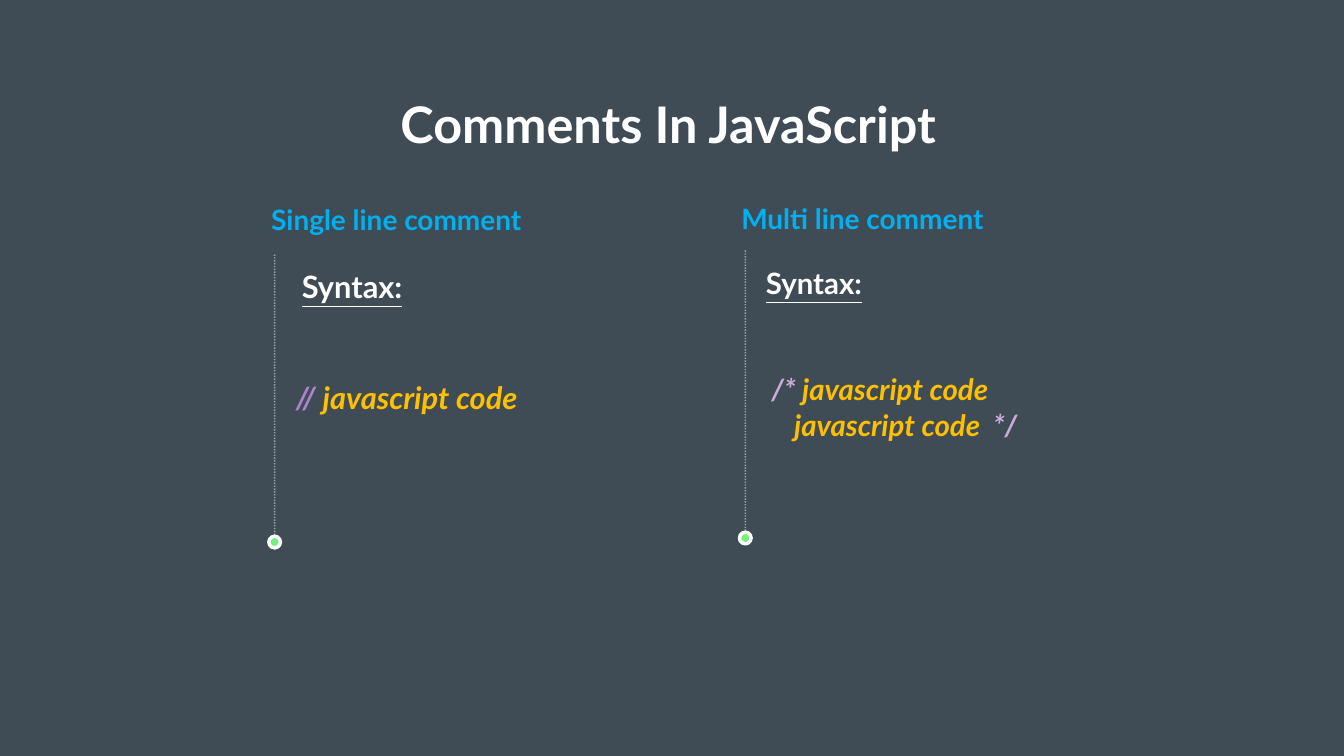
from dataclasses import dataclass

import lxml.etree
import pptx
import pptx.dml.color
import pptx.enum.dml
import pptx.enum.shapes
import pptx.enum.text
import pptx.oxml.ns
import pptx.util

Inches = pptx.util.Inches
Pt = pptx.util.Pt
Anchor = pptx.enum.text.MSO_ANCHOR
qn = pptx.oxml.ns.qn

FONT = "Lato"
COLORS = {
    "background": "404C55",
    "white": "FFFFFF",
    "heading": "00B0F0",
    "code": "FFC000",
    "slashes": "AF82CC",
    "stars": "CAACDD",
    "dot": "73F17A",
}
LINE_HEIGHT = 1.2
DOT_SIZE = 0.23


@dataclass(frozen=True)
class CodeLine:
    indent: float
    runs: tuple[tuple[str, str], ...]


@dataclass(frozen=True)
class CommentStyle:
    heading: str
    heading_box: tuple[float, float, float, float]
    rail_x: float
    rail_top: float
    rail_bottom: float
    syntax_box: tuple[float, float, float, float]
    syntax_size: int
    syntax_indent: float
    code: tuple[CodeLine, ...]


COMMENT_STYLES = (
    CommentStyle(
        "Single line comment", (5.3, 3.89, 5.61, 0.84),
        5.45, 5.04, 10.78,
        (5.87, 5.31, 5.8, 3.7), 44, 0.12,
        (CodeLine(0, (("// ", "slashes"), ("javascript code", "code"))),),
    ),
    CommentStyle(
        "Multi line comment", (14.63, 3.87, 5.24, 0.84),
        14.79, 4.97, 10.7,
        (15.2, 5.27, 6.7, 3.53), 42, 0,
        (
            CodeLine(0.11, (("/* ", "stars"), ("javascript code", "code"))),
            CodeLine(0.56, (("javascript code  ", "code"), ("*/", "stars"))),
        ),
    ),
)


def rgb(name: str) -> pptx.dml.color.RGBColor:
    return pptx.dml.color.RGBColor.from_string(COLORS[name])


def set_font(font, size: int, color: str) -> None:
    font.name = FONT
    font.size = Pt(size)
    font.bold = True
    font.color.rgb = rgb(color)


def add_text_frame(slide, box: tuple[float, float, float, float], inset: float = 0,
                   anchor=Anchor.TOP, wrap: bool = True):
    frame = slide.shapes.add_textbox(*map(Inches, box)).text_frame
    frame.margin_left = frame.margin_right = Inches(inset)
    frame.margin_top = frame.margin_bottom = Inches(inset)
    frame.vertical_anchor = anchor
    frame.word_wrap = wrap
    return frame


def set_indent(paragraph, inches: float) -> None:
    paragraph._p.get_or_add_pPr().set("marL", str(Inches(inches)))


def add_rail(slide, style: CommentStyle) -> None:
    x = Inches(style.rail_x)
    rail = slide.shapes.add_connector(
        pptx.enum.shapes.MSO_CONNECTOR.STRAIGHT,
        x, Inches(style.rail_bottom), x, Inches(style.rail_top))
    rail.line.width = Pt(2)
    rail.line.color.rgb = rgb("white")
    rail.line.dash_style = pptx.enum.dml.MSO_LINE.ROUND_DOT
    rgb_element = rail.line._ln.find(".//" + qn("a:srgbClr"))
    lxml.etree.SubElement(rgb_element, qn("a:alpha")).set("val", "50000")
    lxml.etree.SubElement(rail._element.spPr, qn("a:effectLst"))

    dot = slide.shapes.add_shape(
        pptx.enum.shapes.MSO_SHAPE.OVAL,
        Inches(style.rail_x - DOT_SIZE / 2), Inches(style.rail_bottom - 0.14),
        Inches(DOT_SIZE), Inches(DOT_SIZE))
    dot.shadow.inherit = False
    dot.fill.solid()
    dot.fill.fore_color.rgb = rgb("dot")
    dot.line.color.rgb = rgb("white")
    dot.line.width = Pt(5)


def add_heading(slide, style: CommentStyle) -> None:
    frame = add_text_frame(slide, style.heading_box, 0.08, Anchor.MIDDLE, wrap=False)
    heading = frame.paragraphs[0]
    heading.text = style.heading
    heading.line_spacing = 1.1
    set_font(heading.font, 40, "heading")


def add_syntax(slide, style: CommentStyle) -> None:
    frame = add_text_frame(slide, style.syntax_box)
    label = frame.paragraphs[0]
    label.text = "Syntax:"
    set_indent(label, style.syntax_indent)
    set_font(label.font, style.syntax_size, "white")
    label.font.underline = True

    for index, code_line in enumerate(style.code):
        line = frame.add_paragraph()
        set_indent(line, code_line.indent)
        if index == 0:
            line.space_before = Pt(2 * LINE_HEIGHT * style.syntax_size)
        set_font(line.font, style.syntax_size, "code")
        line.font.italic = True
        for text, color in code_line.runs:
            run = line.add_run()
            run.text = text
            run.font.color.rgb = rgb(color)


def add_title(slide) -> None:
    frame = add_text_frame(slide, (2.28, 2.07, 21.96, 0.97), anchor=Anchor.MIDDLE)
    title = frame.paragraphs[0]
    title.text = "Comments In JavaScript"
    title.alignment = pptx.enum.text.PP_ALIGN.CENTER
    title.line_spacing = 0.8
    set_font(title.font, 72, "white")


def main() -> None:
    deck = pptx.Presentation()
    deck.slide_width = Inches(26.67)
    deck.slide_height = Inches(15)
    slide = deck.slides.add_slide(deck.slide_layouts[6])
    slide.background.fill.solid()
    slide.background.fill.fore_color.rgb = rgb("background")

    for style in COMMENT_STYLES:
        add_rail(slide, style)
        add_heading(slide, style)
        add_syntax(slide, style)
    add_title(slide)
    deck.save("out.pptx")


if __name__ == "__main__":
    main()
